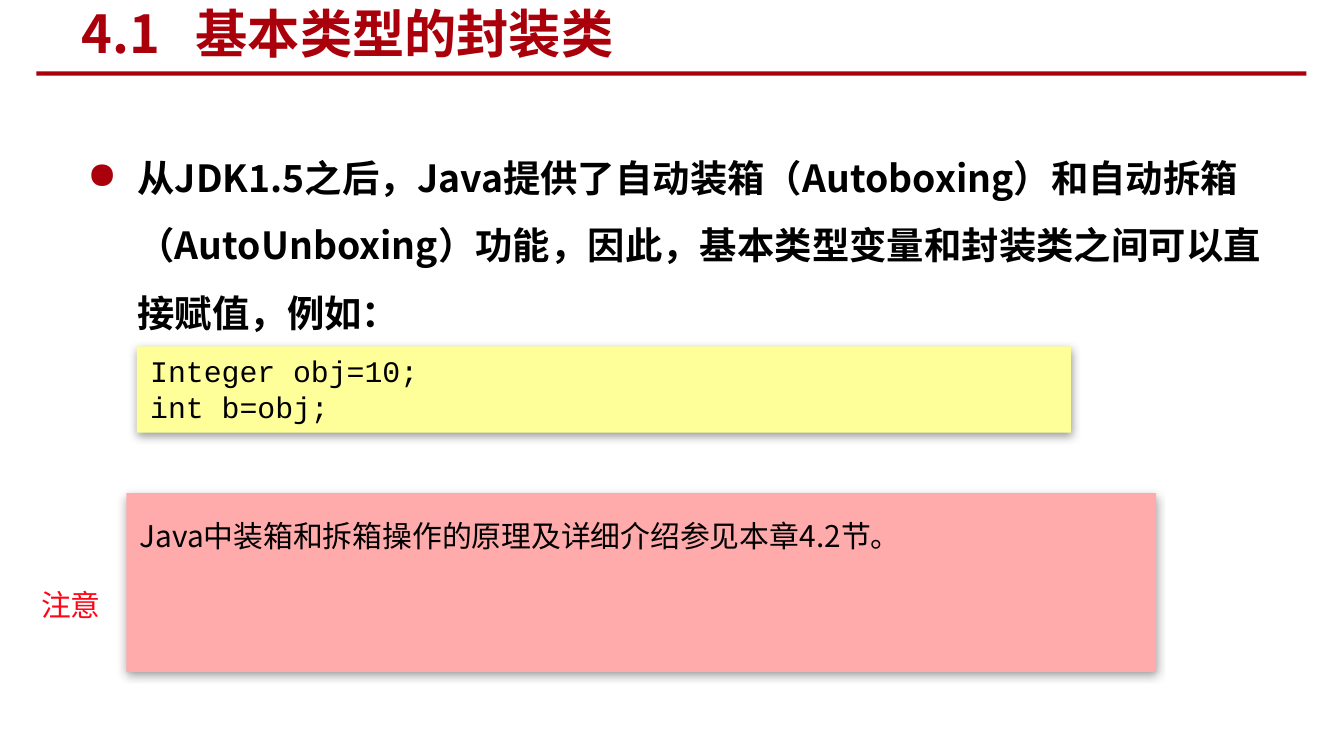
from lxml import etree
from pptx import Presentation
from pptx import util as u
from pptx.dml.color import RGBColor
from pptx.enum import shapes, text
from pptx.oxml.ns import qn

RED, BLACK = "AA000B", "000000"
SANS, MONO = "Noto Sans CJK SC", "Courier New"


def rgb(value):
    return RGBColor.from_string(value)


def child(parent, tag, **attributes):
    return etree.SubElement(parent, qn(tag), attributes)


class SlideKit:
    def __init__(self, slide):
        self.slide = slide

    def bar(self, left, top, width, height, fill, shadow=False):
        bar = self.slide.shapes.add_shape(
            shapes.MSO_SHAPE.RECTANGLE, *map(u.Cm, (left, top, width, height)))
        bar.fill.solid()
        bar.fill.fore_color.rgb = rgb(fill)
        bar.line.fill.background()
        bar.shadow.inherit = False
        if shadow:
            effects = bar._element.spPr.find(qn("a:effectLst"))
            outer = child(effects, "a:outerShdw", blurRad="63500", dist="20000",
                          dir="5400000", rotWithShape="0")
            child(child(outer, "a:srgbClr", val=BLACK), "a:alpha", val="38000")
        return bar

    def box(self, left, top, width, height):
        return self.slide.shapes.add_textbox(*map(u.Cm, (left, top, width, height)))

    def add_text(self, holder, lines, size, color=BLACK, font=SANS, bold=False,
                 wrap=True, grow=False, middle=False, spacing=None):
        frame = holder.text_frame
        frame.word_wrap = wrap
        frame.auto_size = (text.MSO_AUTO_SIZE.SHAPE_TO_FIT_TEXT if grow
                           else text.MSO_AUTO_SIZE.NONE)
        frame.vertical_anchor = text.MSO_ANCHOR.MIDDLE if middle else text.MSO_ANCHOR.TOP
        for index, line in enumerate(lines):
            paragraph = frame.add_paragraph() if index else frame.paragraphs[0]
            paragraph.alignment = text.PP_ALIGN.LEFT
            if spacing:
                paragraph.line_spacing = spacing
                paragraph.space_before = u.Pt(size * 0.2)
            run = paragraph.add_run()
            run.text = line
            run.font.size = u.Pt(size)
            run.font.bold = bold
            run.font.name = font
            run.font.color.rgb = rgb(color)
            child(run._r.rPr, "a:ea", typeface=font)
        return frame.paragraphs[0]

    def bullet(self, paragraph, mark, color, indent):
        properties = paragraph._p.get_or_add_pPr()
        properties.set("marL", str(u.Cm(indent)))
        properties.set("indent", str(-u.Cm(indent)))
        child(child(properties, "a:buClr"), "a:srgbClr", val=color)
        child(properties, "a:buChar", char=mark)

    def tab_stop(self, paragraph, position):
        stops = child(paragraph._p.get_or_add_pPr(), "a:tabLst")
        child(stops, "a:tab", pos=str(u.Cm(position)), algn="l")


def main():
    deck = Presentation()
    deck.slide_width, deck.slide_height = u.Cm(25.4), u.Cm(14.29)
    kit = SlideKit(deck.slides.add_slide(deck.slide_layouts[6]))

    kit.bar(0.69, 1.35, 24, 0.08, RED)

    autoboxing = kit.add_text(
        kit.box(1.4, 2.39, 22.81, 6.55),
        ["从JDK1.5之后，Java提供了自动装箱（Autoboxing）和自动拆箱（AutoUnboxing）功能，"
         "因此，基本类型变量和封装类之间可以直接赋值，例如："],
        20, bold=True, spacing=1.5)
    kit.bullet(autoboxing, "●", RED, 0.95)

    note = kit.bar(2.39, 9.32, 19.46, 3.38, "FFAAAB", shadow=True)
    kit.add_text(note, ["Java中装箱和拆箱操作的原理及详细介绍参见本章4.2节。"], 16, spacing=1.5)
    kit.add_text(kit.box(0.53, 10.97, 1.65, 0.94), ["注意"], 16, "FF0517",
                 wrap=False, grow=True)

    title = kit.add_text(kit.box(1.3, 0.05, 13.46, 1.14), ["4.1\t基本类型的封装类"], 28,
                         RED, bold=True, middle=True)
    kit.tab_stop(title, 2.15)

    code = kit.bar(2.59, 6.55, 17.65, 1.63, "FFFF99", shadow=True)
    kit.add_text(code, ["Integer obj=10;", "int b=obj;"], 16, font=MONO, grow=True)

    deck.save("out.pptx")


if __name__ == "__main__":
    main()
